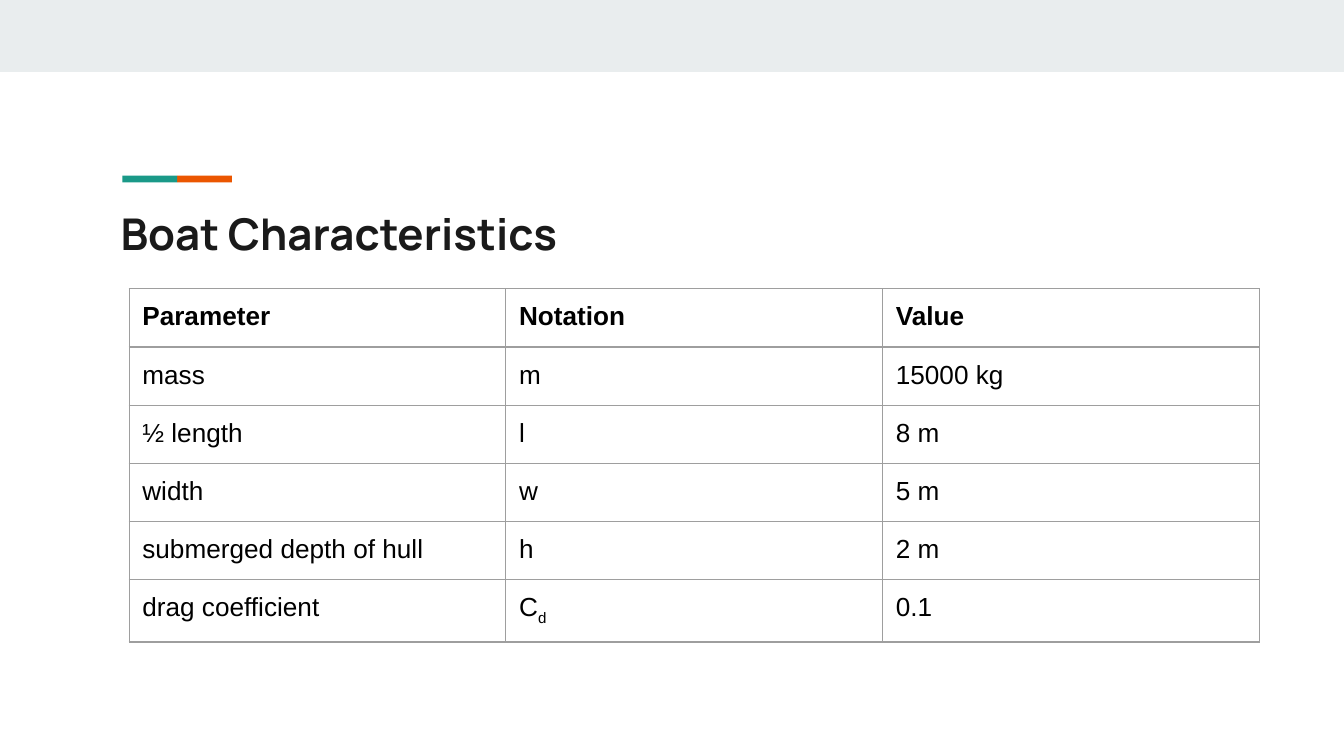
from lxml.etree import SubElement
from pptx import Presentation
from pptx.dml.color import RGBColor
from pptx.enum.shapes import MSO_SHAPE
from pptx.oxml.ns import qn
from pptx.util import Cm, Pt

BLACK = RGBColor(0x00, 0x00, 0x00)
INK = RGBColor(0x1A, 0x1A, 0x1A)
PALE = RGBColor(0xE9, 0xED, 0xEE)
TEAL = RGBColor(0x1A, 0x99, 0x88)
ORANGE = RGBColor(0xEB, 0x56, 0x00)
GRID = RGBColor(0x9E, 0x9E, 0x9E)

MARGIN = Cm(0.25)
ROWS = [
    ("Parameter", "Notation", "Value"),
    ("mass", "m", "15000 kg"),
    ("½ length", "l", "8 m"),
    ("width", "w", "5 m"),
    ("submerged depth of hull", "h", "2 m"),
    ("drag coefficient", "C", "0.1"),
]


def style(item, font, size, color, bold=False):
    item.font.name = font
    item.font.size = Pt(size)
    item.font.color.rgb = color
    item.font.bold = bold


def add_borders(cell):
    properties = cell._tc.get_or_add_tcPr()
    for side in ("lnL", "lnR", "lnT", "lnB"):
        line = SubElement(properties, qn(f"a:{side}"), w=str(Pt(0.75)))
        fill = SubElement(line, qn("a:solidFill"))
        SubElement(fill, qn("a:srgbClr"), val=str(GRID))


deck = Presentation()
deck.slide_width = Cm(25.4)
deck.slide_height = Cm(14.29)
page = deck.slides.add_slide(deck.slide_layouts[6])

# Top band, and the two upright bars that are turned into the accent line
accent = page.shapes.add_group_shape()
for parent, left, top, width, height, turn, color in [
    (page, 0, 0, 25.4, 1.36, 0, PALE),
    (accent, 4.5, 2.61, 0.07, 1.48, 270, ORANGE),
    (accent, 3.02, 2.61, 0.07, 1.48, 270, TEAL),
]:
    bar = parent.shapes.add_shape(
        MSO_SHAPE.RECTANGLE, Cm(left), Cm(top), Cm(width), Cm(height))
    bar.rotation = turn
    bar.shadow.inherit = False
    bar.fill.solid()
    bar.fill.fore_color.rgb = color
    bar.line.fill.background()

# Scale the accent group from its inner size to its size on the page
accent.left, accent.top = Cm(2.31), Cm(3.31)
accent.width, accent.height = Cm(2.07), Cm(0.13)
inner = accent._element.grpSpPr.find(qn("a:xfrm"))
inner.find(qn("a:chOff")).set("x", str(Cm(2.31)))
inner.find(qn("a:chOff")).set("y", str(Cm(3.31)))
inner.find(qn("a:chExt")).set("cx", str(Cm(2.96)))
inner.find(qn("a:chExt")).set("cy", str(Cm(0.07)))

# Title
box = page.shapes.add_textbox(Cm(2.03), Cm(3.66), Cm(21.36), Cm(1.5))
frame = box.text_frame
frame.word_wrap = True
frame.margin_left = frame.margin_right = MARGIN
frame.margin_top = frame.margin_bottom = MARGIN
frame.text = "Boat Characteristics"
style(frame.paragraphs[0].runs[0], "Manrope", 23.4, INK, bold=True)

# Table of boat parameters
holder = page.shapes.add_table(
    len(ROWS), 3, Cm(2.44), Cm(5.46), Cm(21.36), Cm(6.6))
holder.width = holder.height = Cm(8.33)
table = holder.table
table.first_row = False
table.horz_banding = False
for row, texts in enumerate(ROWS):
    for column, text in enumerate(texts):
        cell = table.cell(row, column)
        cell.margin_left = cell.margin_right = MARGIN
        cell.margin_top = cell.margin_bottom = MARGIN
        add_borders(cell)
        cell.fill.background()
        cell.text_frame.text = text
        style(cell.text_frame.paragraphs[0].runs[0],
              "Arial", 14, BLACK, bold=row == 0)

# Subscript of the drag coefficient symbol
span = table.cell(5, 1).text_frame.paragraphs[0].add_run()
span.text = "d"
style(span, "Arial", 14, BLACK)
span.font._element.set("baseline", "-25000")

deck.save("out.pptx")
